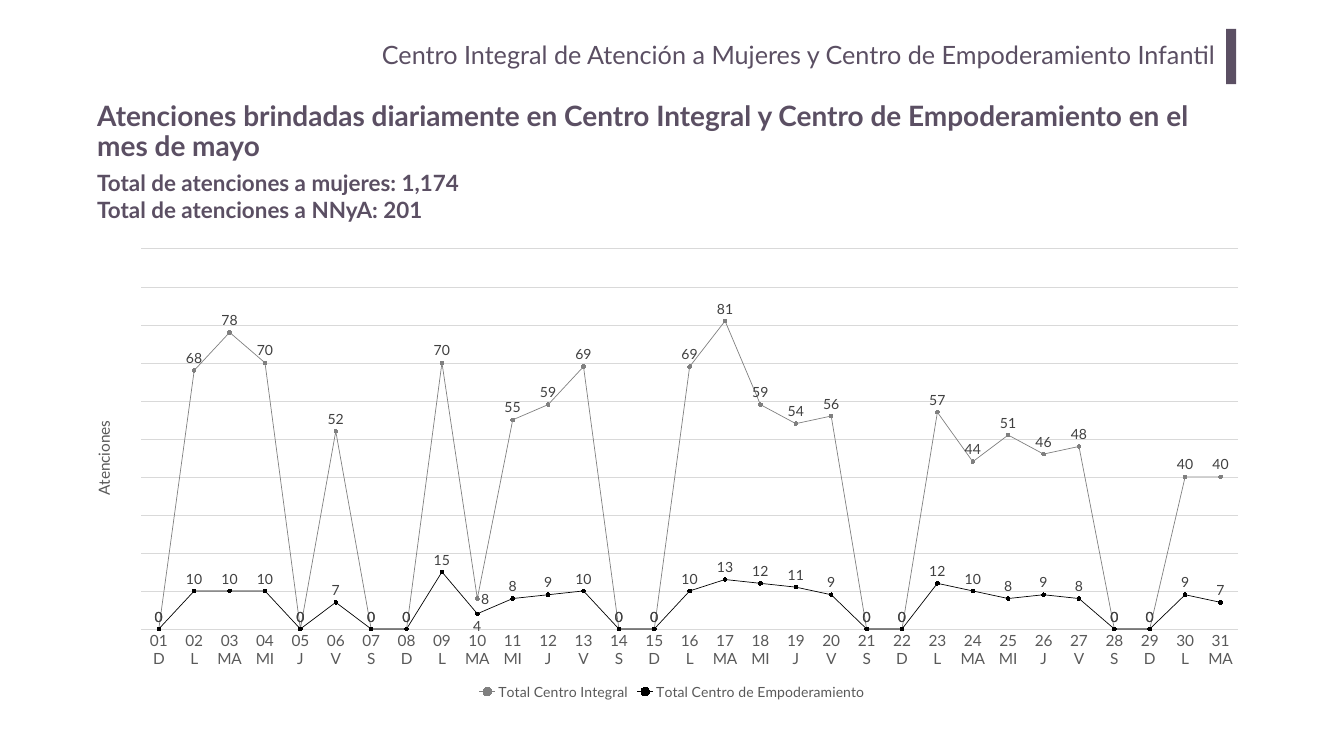
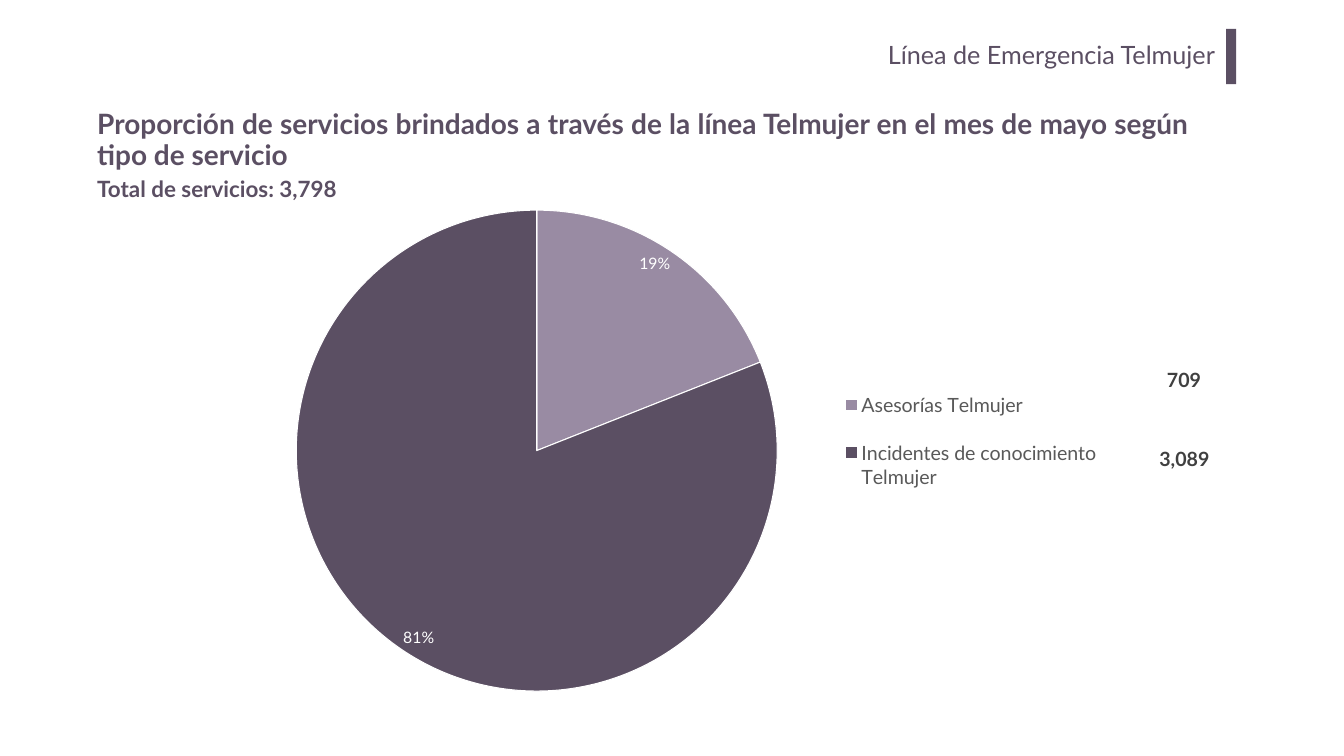
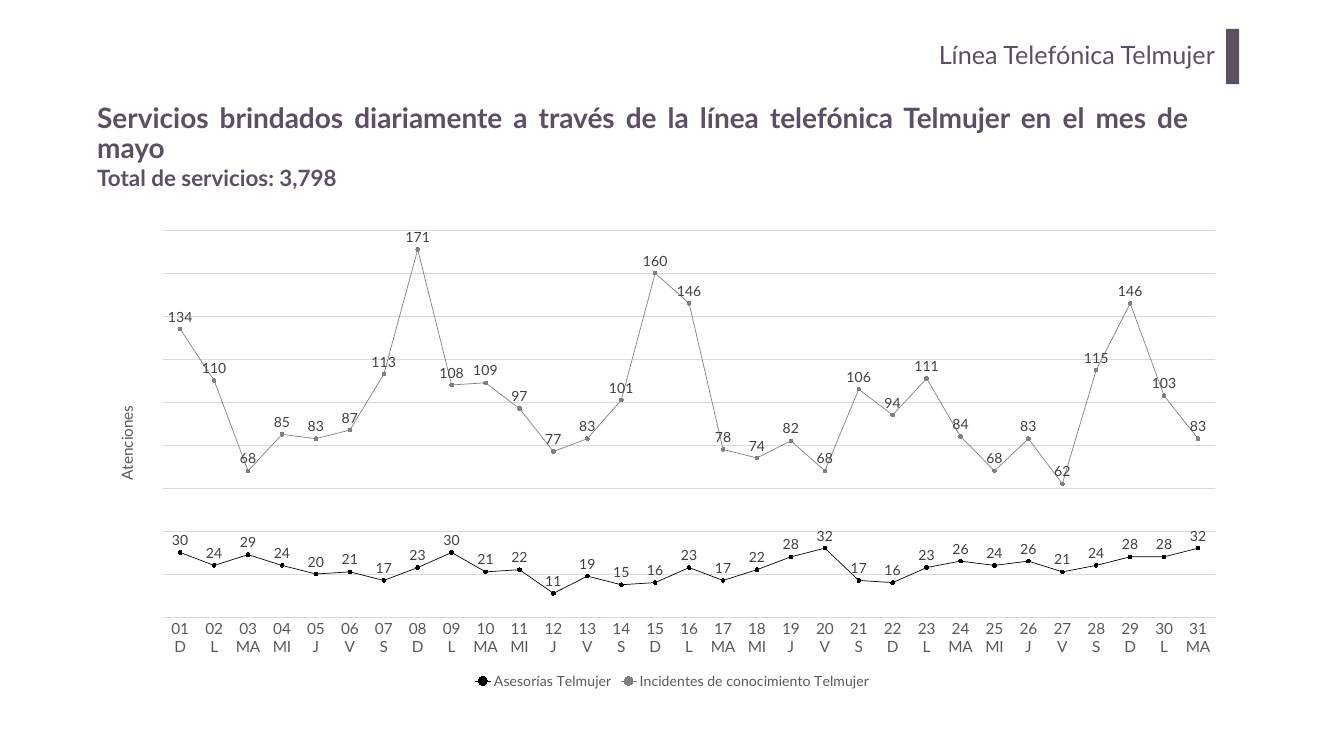
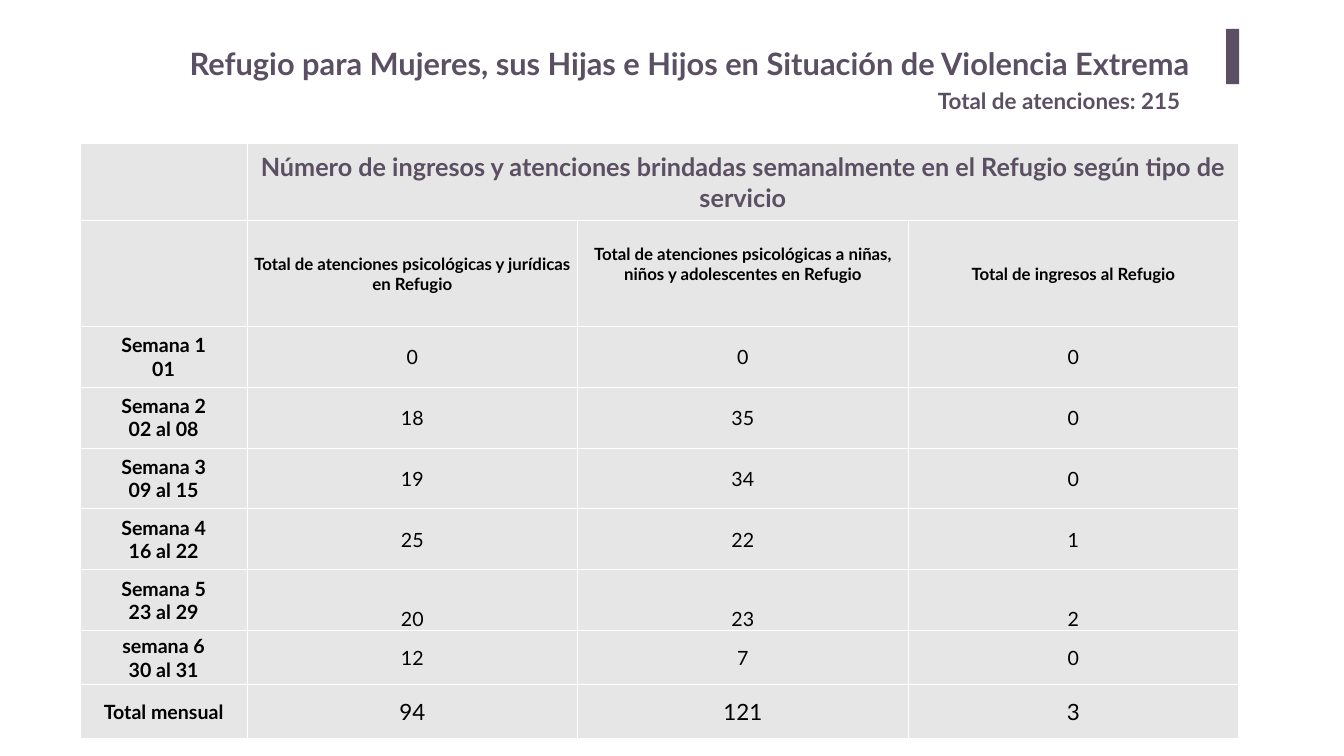
from lxml import etree
from pptx import Presentation
from pptx.chart.data import CategoryChartData
from pptx.dml.color import RGBColor
from pptx.enum import chart as ch, shapes, text
from pptx.oxml import parse_xml
from pptx.oxml.ns import nsdecls, qn
from pptx.util import Cm, Pt

PLUM = RGBColor(0x5B, 0x4F, 0x63)
MAUVE = RGBColor(0x99, 0x8B, 0xA3)
GRAY = RGBColor(0x80, 0x80, 0x80)
PALE = RGBColor(0xE7, 0xE6, 0xE6)
RULE = RGBColor(0xD9, 0xD9, 0xD9)
LABEL = RGBColor(0x40, 0x40, 0x40)
AXIS = RGBColor(0x59, 0x59, 0x59)
BLACK = RGBColor(0, 0, 0)
WHITE = RGBColor(255, 255, 255)
LEFT, RIGHT = text.PP_ALIGN.LEFT, text.PP_ALIGN.RIGHT
CENTER, JUST = text.PP_ALIGN.CENTER, text.PP_ALIGN.JUSTIFY
TOP, MIDDLE, BOTTOM = text.MSO_ANCHOR.TOP, text.MSO_ANCHOR.MIDDLE, text.MSO_ANCHOR.BOTTOM


def write(frame, words, size, bold=True, color=PLUM, align=LEFT):
    frame.word_wrap = True
    frame.text = words
    for para in frame.paragraphs:
        para.alignment = align
        style(para.font, size, color, bold)


def style(font, size, color, bold=False):
    font.name, font.size, font.bold = "Lato", Pt(size), bold
    font.color.rgb = color


prs = Presentation()
prs.slide_width, prs.slide_height = Cm(67.74), Cm(38.1)

heads = [
    ("Centro Integral de Atención a Mujeres y Centro de Empoderamiento Infantil", 0.51),
    ("Línea de Emergencia Telmujer", 0.51),
    ("Línea Telefónica Telmujer", 0.66),
    ("Refugio para Mujeres, sus Hijas e Hijos en Situación de Violencia Extrema", 0.66),
]
slides = []
for head, wide in heads:
    slide = prs.slides.add_slide(prs.slide_layouts[5])
    slides.append(slide)
    bar = slide.shapes.add_shape(shapes.MSO_SHAPE.RECTANGLE, Cm(61.8), Cm(1.45), Cm(wide), Cm(2.79))
    bar.shadow.inherit = False
    bar.fill.solid()
    bar.fill.fore_color.rgb = PLUM
    bar.line.fill.background()
    title = slide.shapes.title
    frame = title.text_frame
    frame.auto_size = text.MSO_AUTO_SIZE.NONE
    frame.vertical_anchor = TOP
    if len(slides) < 4:
        title.left, title.top, title.width, title.height = Cm(10.19), Cm(1.73), Cm(51.56), Cm(2.59)
        frame.margin_left = frame.margin_right = Cm(0.51)
        frame.margin_top = frame.margin_bottom = Cm(0.25)
        write(frame, head, 36, False, align=RIGHT)
    else:
        title.left, title.top, title.width, title.height = Cm(9.3), Cm(2.13), Cm(52.65), Cm(2.13)
        write(frame, head, 44)

topics = [
    (4.85, "Atenciones brindadas diariamente en Centro Integral y Centro de Empoderamiento en el mes de mayo"),
    (5.26, "Proporción de servicios brindados a través de la línea Telmujer en el mes de mayo según tipo de servicio"),
    (4.93, "Servicios brindados diariamente a través de la línea telefónica Telmujer en el mes de mayo"),
]
for slide, (top, words) in zip(slides, topics):
    frame = slide.shapes.add_textbox(Cm(4.65), Cm(top), Cm(55.5), Cm(3.68)).text_frame
    frame.vertical_anchor = MIDDLE
    write(frame, words, 40, align=JUST)
    frame.paragraphs[0].line_spacing = 0.9

notes = [
    (0, 4.65, 8.38, 20.62, 3, 32, PLUM, LEFT,
     "Total de atenciones a mujeres: 1,174\nTotal de atenciones a NNyA: 201"),
    (1, 4.65, 8.71, 14.33, 1.63, 32, PLUM, LEFT, "Total de servicios: 3,798"),
    (2, 4.65, 8.15, 20.62, 1.63, 32, PLUM, LEFT, "Total de servicios: 3,798"),
    (3, 47.02, 4.29, 14, 1.63, 32, PLUM, LEFT, "Total de atenciones: 215"),
    (1, 58.34, 18.44, 2.67, 1.3, 28, LABEL, CENTER, "709"),
    (1, 57.79, 22.4, 3.81, 1.3, 28, LABEL, CENTER, "3,089"),
]
for num, x, y, w, h, size, color, align, words in notes:
    box = slides[num].shapes.add_textbox(Cm(x), Cm(y), Cm(w), Cm(h))
    write(box.text_frame, words, size, color=color, align=align)

week = ["D", "L", "MA", "MI", "J", "V", "S"]
days = [f"{day + 1:02d}\n{week[day % 7]}" for day in range(31)]
lines = [
    (0, (4.14, 12.07, 59.46, 23.37), 100, 10, [
        ("Total Centro Integral", GRAY,
         [0, 68, 78, 70, 0, 52, 0, 0, 70, 8, 55, 59, 69, 0, 0, 69,
          81, 59, 54, 56, 0, 0, 57, 44, 51, 46, 48, 0, 0, 40, 40]),
        ("Total Centro de Empoderamiento", BLACK,
         [0, 10, 10, 10, 0, 7, 0, 0, 15, 4, 8, 9, 10, 0, 0, 10,
          13, 12, 11, 9, 0, 0, 12, 10, 8, 9, 8, 0, 0, 9, 7])]),
    (2, (5.38, 11.13, 57, 23.77), 180, 20, [
        ("Asesorías Telmujer", BLACK,
         [30, 24, 29, 24, 20, 21, 17, 23, 30, 21, 22, 11, 19, 15, 16, 23,
          17, 22, 28, 32, 17, 16, 23, 26, 24, 26, 21, 24, 28, 28, 32]),
        ("Incidentes de conocimiento Telmujer", GRAY,
         [134, 110, 68, 85, 83, 87, 113, 171, 108, 109, 97, 77, 83, 101, 160, 146,
          78, 74, 82, 68, 106, 94, 111, 84, 68, 83, 62, 115, 146, 103, 83])]),
]
charts = []
for num, area, peak, step, rows in lines:
    data = CategoryChartData()
    data.categories = days
    for name, color, vals in rows:
        data.add_series(name, vals)
    chart = slides[num].shapes.add_chart(ch.XL_CHART_TYPE.LINE_MARKERS, *map(Cm, area), data).chart
    charts.append((chart, 20, ch.XL_LEGEND_POSITION.BOTTOM, (0.05, 0.02, 0.93, 0.82)))
    chart.plots[0].vary_by_categories = False
    for ser, (name, color, vals) in zip(chart.plots[0].series, rows):
        ser.smooth = False
        ser.format.line.color.rgb = color
        ser.format.line.width = Pt(1)
        ser.marker.style = ch.XL_MARKER_STYLE.CIRCLE
        ser.marker.size = 5
        ser.marker.format.fill.solid()
        ser.marker.format.fill.fore_color.rgb = color
        ser.marker.format.line.color.rgb = color
        tags = ser.data_labels
        tags.show_value = True
        tags.position = ch.XL_LABEL_POSITION.ABOVE
        style(tags.font, 20, LABEL)
    cat, val = chart.category_axis, chart.value_axis
    cat.major_tick_mark = cat.minor_tick_mark = ch.XL_TICK_MARK.NONE
    cat.format.line.color.rgb = RULE
    cat.format.line.width = Pt(0.75)
    style(cat.tick_labels.font, 22, AXIS)
    val.minimum_scale, val.maximum_scale, val.major_unit = 0, peak, step
    val.has_major_gridlines = True
    val.major_gridlines.format.line.color.rgb = RULE
    val.major_gridlines.format.line.width = Pt(0.75)
    val.visible = False
    frame = val.axis_title.text_frame
    frame.text = "Atenciones"
    style(frame.paragraphs[0].font, 22, AXIS)
    turn = val.axis_title._element.find(".//" + qn("a:bodyPr"))
    turn.set("rot", "-5400000")
    turn.set("vert", "horz")

sides = [ch.XL_LABEL_POSITION.RIGHT, ch.XL_LABEL_POSITION.BELOW]
for ser, side in zip(charts[0][0].plots[0].series, sides):
    tag = ser.points[9].data_label
    style(tag.font, 20, LABEL)
    tag.position = side

data = CategoryChartData()
data.categories = ["Asesorías Telmujer", "Incidentes de conocimiento Telmujer"]
data.add_series("Series 1", [19, 81])
pie = slides[1].shapes.add_chart(
    ch.XL_CHART_TYPE.PIE, Cm(9.55), Cm(10.34), Cm(48.62), Cm(24.99), data).chart
charts.append((pie, 28, ch.XL_LEGEND_POSITION.RIGHT, (0.11, 0.01, 0.5, 0.97)))
ser = pie.plots[0].series[0]
for num, color in enumerate([MAUVE, PLUM]):
    part = ser.points[num].format
    part.fill.solid()
    part.fill.fore_color.rgb = color
    part.line.color.rgb = WHITE
    part.line.width = Pt(1.5)
tags = ser.data_labels
tags.show_value, tags.show_percentage = False, True
tags.number_format, tags.number_format_is_linked = "0%", False
tags.position = ch.XL_LABEL_POSITION.INSIDE_END
style(tags.font, 22.5, WHITE)

for chart, size, side, area in charts:
    chart.has_title = False
    chart.font.name, chart.font.size = "Arial", Pt(10)
    chart.font.color.rgb = BLACK
    chart.has_legend = True
    chart.legend.position = side
    chart.legend.include_in_layout = False
    style(chart.legend.font, size, AXIS)
    spots = [(chart._chartSpace.find(".//" + qn("c:plotArea")), 0, area)]
    if chart is pie:
        spots.append((chart.legend._element, 1, (0.67, 0.33, 0.28, 0.29)))
    for node, place, rect in spots:
        for old in node.findall(qn("c:layout")):
            node.remove(old)
        layout = parse_xml(f"<c:layout {nsdecls('c')}><c:manualLayout/></c:layout>")
        keys = [("xMode", "edge"), ("yMode", "edge"), *zip("xywh", rect)]
        if place == 0:
            keys.insert(0, ("layoutTarget", "inner"))
        for key, value in keys:
            etree.SubElement(layout[0], qn("c:" + key)).set("val", str(value))
        node.insert(place, layout)

cells = [
    ["", "Número de ingresos y atenciones brindadas semanalmente en el Refugio según tipo de servicio", "", ""],
    ["", "Total de atenciones psicológicas y jurídicas en Refugio",
     "Total de atenciones psicológicas a niñas, niños y adolescentes en Refugio",
     "Total de ingresos al Refugio"],
    ["Semana 1\v01", "0", "0", "0"],
    ["Semana 2\v02 al 08", "18", "35", "0"],
    ["Semana 3\v09 al 15", "19", "34", "0"],
    ["Semana 4\v16 al 22", "25", "22", "1"],
    ["Semana 5\v23 al 29", "20", "23", "2"],
    ["semana 6\v30 al 31", "12", "7", "0"],
    ["Total mensual", "94", "121", "3"],
]
highs = [3.91, 5.31] + [3.07] * 5 + [2.72] * 2
table = slides[3].shapes.add_table(9, 4, Cm(4.04), Cm(7.21), Cm(58.39), Cm(sum(highs))).table
table.first_row = table.horz_banding = False
for col, wide in zip(table.columns, [8.41] + [16.66] * 3):
    col.width = Cm(wide)
for r, (row, high) in enumerate(zip(cells, highs)):
    table.rows[r].height = Cm(high)
    for c, words in enumerate(row):
        cell = table.cell(r, c)
        cell.margin_left = cell.margin_right = cell.margin_top = Cm(0.03)
        cell.margin_bottom = Cm(1) if (r, c) == (1, 2) else 0
        cell.vertical_anchor = BOTTOM if r == 6 and c else MIDDLE
        for side in "LRTB":
            cell._tc.get_or_add_tcPr().append(parse_xml(
                f'<a:ln{side} {nsdecls("a")} w="12700"><a:solidFill>'
                f'<a:srgbClr val="{WHITE}"/></a:solidFill></a:ln{side}>'))
        cell.fill.solid()
        cell.fill.fore_color.rgb = PALE
        if words:
            size = 36 if r == 0 else 24 if r == 1 else 32 if r == 8 and c else 28
            write(cell.text_frame, words, size, r < 2 or c == 0, PLUM if r == 0 else BLACK, CENTER)
table.cell(0, 1).merge(table.cell(0, 3))

prs.save("out.pptx")
